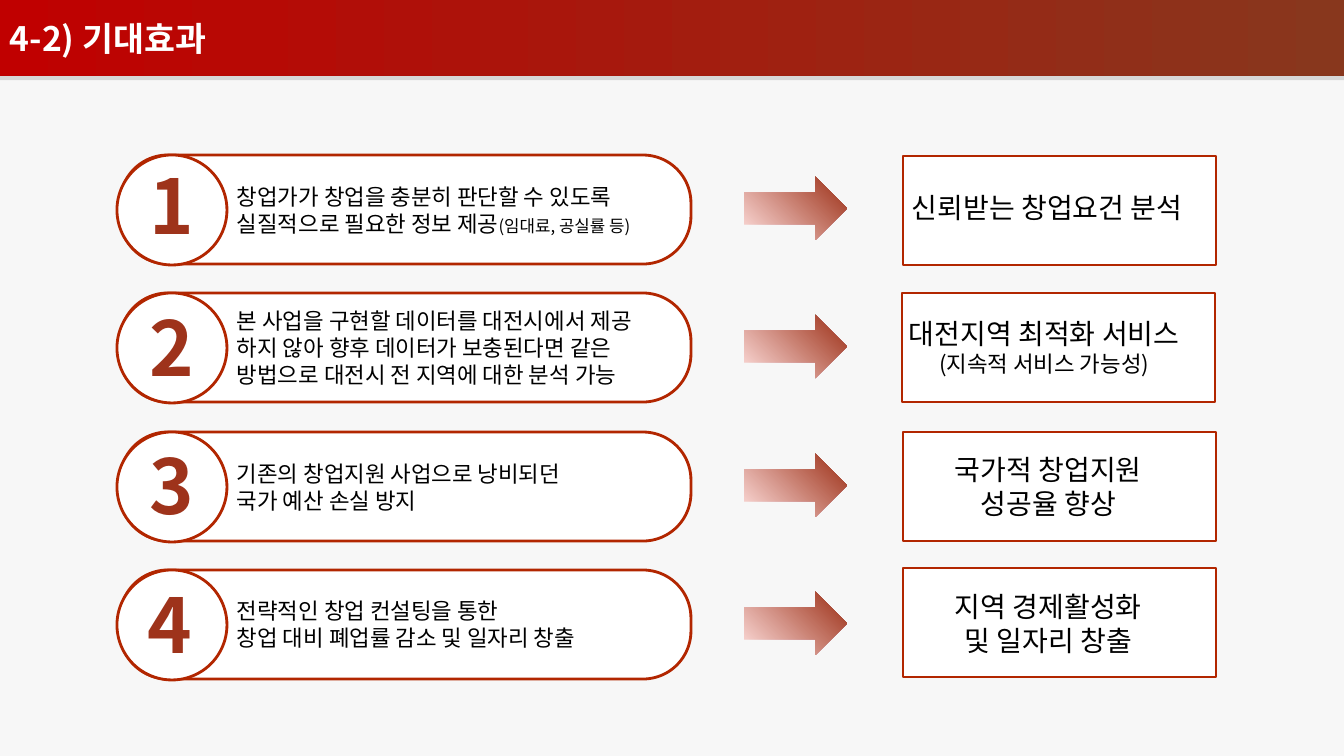
"""Build the expected-effects slide: four numbered measures, each leading to a result."""
from lxml import etree
from pptx import Presentation
from pptx.dml.color import RGBColor
from pptx.enum.shapes import MSO_CONNECTOR, MSO_SHAPE
from pptx.enum.text import MSO_ANCHOR, MSO_AUTO_SIZE, PP_ALIGN
from pptx.oxml.ns import qn
from pptx.util import Pt

RECT, PILL, CIRCLE, ARROW = (MSO_SHAPE.RECTANGLE, MSO_SHAPE.ROUNDED_RECTANGLE,
                             MSO_SHAPE.OVAL, MSO_SHAPE.RIGHT_ARROW)
STRAIGHT = MSO_CONNECTOR.STRAIGHT
LEFT, CENTER = PP_ALIGN.LEFT, PP_ALIGN.CENTER
MIDDLE, GROW = MSO_ANCHOR.MIDDLE, MSO_AUTO_SIZE.SHAPE_TO_FIT_TEXT

FONT = "Noto Sans CJK KR"
COLORS = {"page": "F7F7F7", "white": "FFFFFF", "black": "000000", "outline": "B22600",
          "number": "9E331B", "arrow_light": "FFE0DE", "header_from": "C00000",
          "header_to": "88371D"}
TITLE = "4-2) 기대효과"

ROWS = [
    {"number": ("1", (140, 154, 65, 102)),
     "effect": ([[("창업가가 창업을 충분히 판단할 수 있도록", 16)],
                 [("실질적으로 필요한 정보 제공", 16), ("(임대료, 공실률 등)", 12)]],
                (227, 178, 461, 65)),
     "result_box": (903, 156, 313, 109),
     "result": ([[("신뢰받는 창업요건 분석", 20)]], (902, 186, 323, 44))},
    {"number": ("2", (140, 296, 65, 102)),
     "effect": ([[("본 사업을 구현할 데이터를 대전시에서 제공", 16)],
                 [("하지 않아 향후 데이터가 보충된다면 같은", 16)],
                 [("방법으로 대전시 전 지역에 대한 분석 가능", 16)]],
                (227, 302, 468, 92)),
     "result_box": (902, 293, 313, 109),
     "result": ([[("대전지역 최적화 서비스", 20)], [("(지속적 서비스 가능성)", 16)]],
                (899, 312, 323, 72))},
    {"number": ("3", (140, 434, 65, 102)),
     "effect": ([[("기존의 창업지원 사업으로 낭비되던", 16)], [("국가 예산 손실 방지", 16)]],
                (227, 455, 383, 65)),
     "result_box": (903, 432, 313, 109),
     "result": ([[("국가적 창업지원", 20)], [("성공율 향상", 20)]], (945, 448, 228, 78))},
    {"number": ("4", (138, 573, 65, 102)),
     "effect": ([[("전략적인 창업 컨설팅을 통한", 16)],
                 [("창업 대비 폐업률 감소 및 일자리 창출", 16)]],
                (227, 592, 415, 65)),
     "result_box": (903, 568, 313, 109),
     "result": ([[("지역 경제활성화", 20)], [("및 일자리 창출", 20)]], (945, 585, 228, 78))},
]
FIRST_TOP, TWO_ROWS = 155, 277


def px(length):
    return round(length * 914400 / 100.8)


def rgb(name):
    return RGBColor.from_string(COLORS[name])


def add_block(kind, box, fill=None, outline=None):
    block = slide.shapes.add_shape(kind, *map(px, box))
    block.shadow.inherit = False
    if fill:
        block.fill.solid()
        block.fill.fore_color.rgb = rgb(fill)
    if outline:
        block.line.color.rgb = rgb(outline)
        block.line.width = Pt(2)
    else:
        block.line.fill.background()
    return block


def shade(block, stops):
    block.fill.gradient()
    block.fill.gradient_angle = 0
    for stop, (position, name) in zip(block.fill.gradient_stops, stops):
        stop.position = position
        stop.color.rgb = rgb(name)


def radiate_from_top_right(block):
    gradient = block._element.spPr.find(qn("a:gradFill"))
    gradient.remove(gradient.find(qn("a:lin")))
    for old_tile in gradient.findall(qn("a:tileRect")):
        gradient.remove(old_tile)
    circle = etree.SubElement(gradient, qn("a:path"), path="circle")
    etree.SubElement(circle, qn("a:fillToRect"), l="100000", b="100000")
    etree.SubElement(gradient, qn("a:tileRect"), t="-100000", r="-100000")


def write(frame, paragraphs, color="black", bold=False):
    for index, runs in enumerate(paragraphs):
        paragraph = frame.add_paragraph() if index else frame.paragraphs[0]
        for words, size in runs:
            run = paragraph.add_run()
            run.text = words
            look = {"name": FONT, "size": Pt(size), "bold": bold}
            for attribute, value in look.items():
                setattr(run.font, attribute, value)
            run.font.color.rgb = rgb(color)
            etree.SubElement(run._r.get_or_add_rPr(), qn("a:ea"), typeface=FONT)
        paragraph.alignment = LEFT


def add_text(paragraphs, box, **look):
    frame = slide.shapes.add_textbox(*map(px, box)).text_frame
    frame.word_wrap = False
    frame.auto_size = GROW
    write(frame, paragraphs, **look)
    return frame


def add_header():
    header = add_block(RECT, (0, 0, 1344, 76))
    shade(header, [(0, "header_from"), (1, "header_to")])
    header.text_frame.vertical_anchor = MIDDLE
    write(header.text_frame, [[(TITLE, 24)]], "white", True)
    rule = slide.shapes.add_connector(STRAIGHT, 0, px(78), px(1344), px(78))
    rule.line.color.rgb = rgb("black")
    rule.line.width = Pt(3)
    rule_color = rule._element.spPr.find(".//" + qn("a:srgbClr"))
    etree.SubElement(rule_color, qn("a:alpha"), val="12000")
    etree.SubElement(rule._element.spPr, qn("a:effectLst"))


def add_row(index, row):
    top = FIRST_TOP + index * TWO_ROWS // 2
    pill = add_block(PILL, (120, top, 571, 109), "white", "outline")
    pill.adjustments[0] = 0.44
    add_block(CIRCLE, (117, top, 110, 110), "white", "outline")
    arrow = add_block(ARROW, (744, top + 22, 103, 63))
    shade(arrow, [(0.04, "number"), (1, "arrow_light")])
    radiate_from_top_right(arrow)
    add_block(RECT, row["result_box"], "white", "outline")
    digit, digit_box = row["number"]
    add_text([[(digit, 54)]], digit_box, color="number", bold=True)
    add_text(*row["effect"])
    for paragraph in add_text(*row["result"]).paragraphs[1:]:
        paragraph.alignment = CENTER


deck = Presentation()
deck.slide_width, deck.slide_height = px(1344), px(756)
slide = deck.slides.add_slide(deck.slide_layouts[6])
slide.background.fill.solid()
slide.background.fill.fore_color.rgb = rgb("page")
add_header()
for row_index, row_content in enumerate(ROWS):
    add_row(row_index, row_content)
deck.save("out.pptx")
